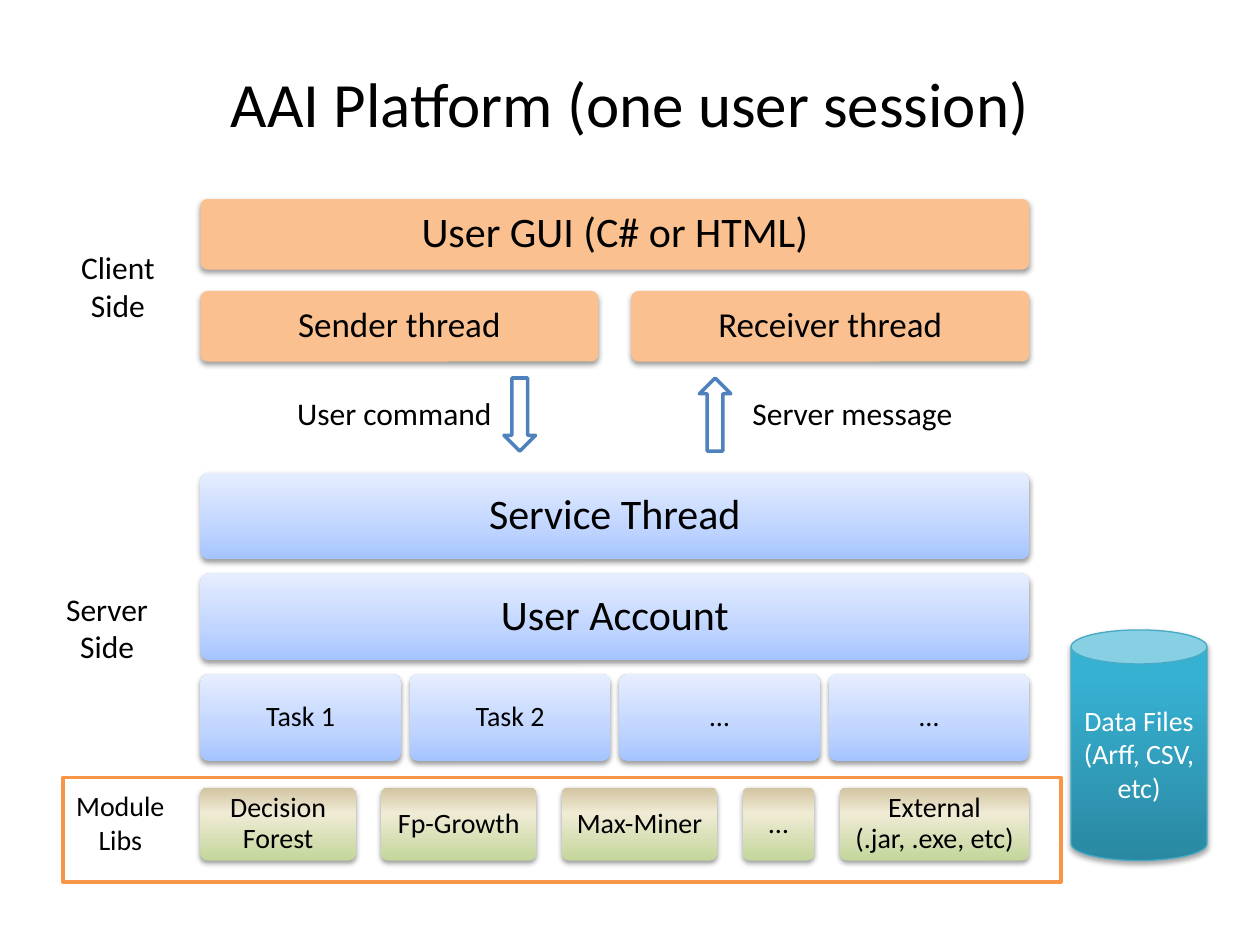
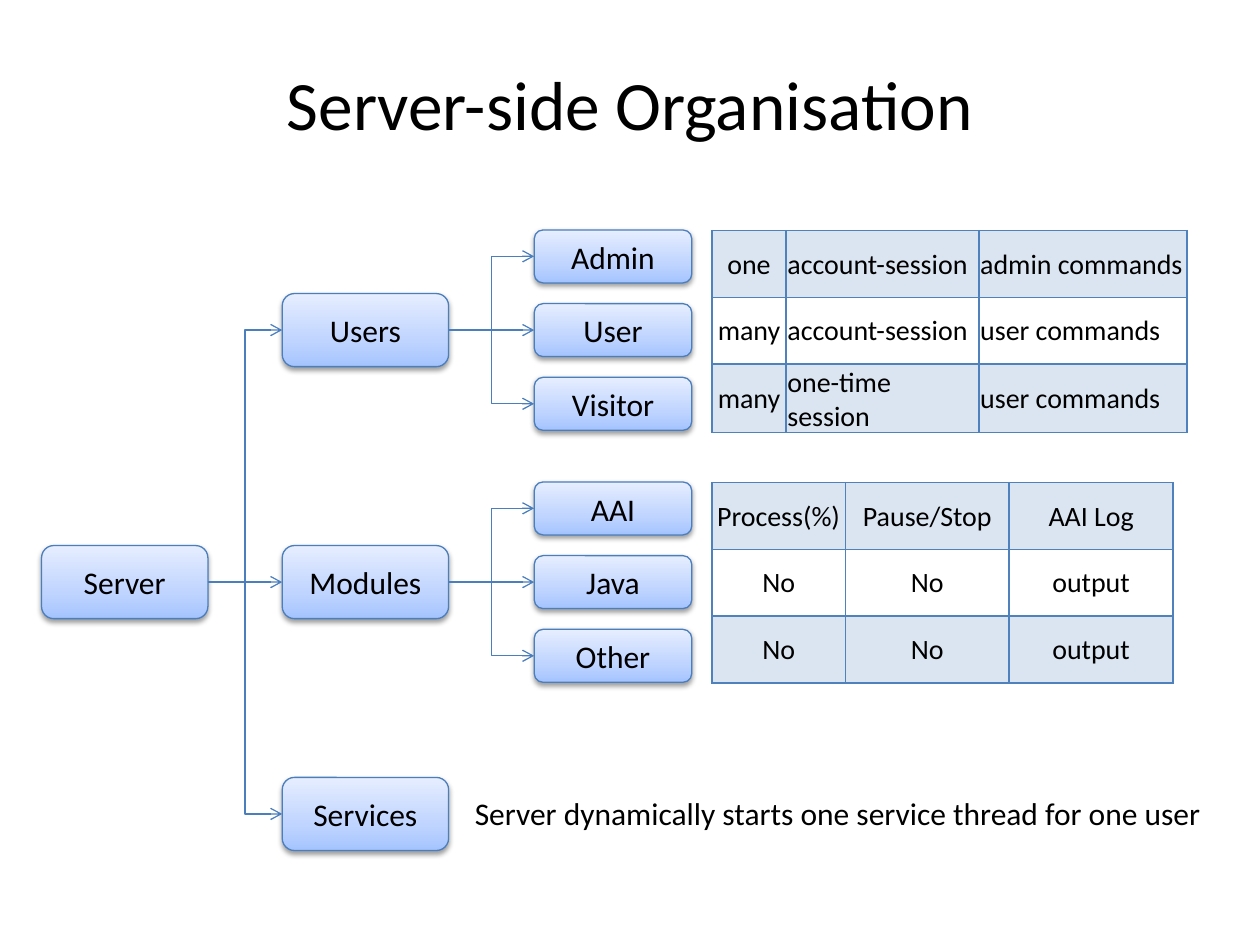
"""Build two slides on a platform's session layers and its server organisation."""
from dataclasses import dataclass
from typing import NamedTuple, Optional

import lxml.etree
import pptx
import pptx.dml.color
import pptx.enum.shapes
import pptx.enum.text
import pptx.oxml.ns
import pptx.util

Inches = pptx.util.Inches
Pt = pptx.util.Pt
Shapes = pptx.enum.shapes.MSO_SHAPE
Connectors = pptx.enum.shapes.MSO_CONNECTOR
Align = pptx.enum.text.PP_ALIGN
Anchor = pptx.enum.text.MSO_ANCHOR
qn = pptx.oxml.ns.qn

FONT = "Calibri"
BLACK, WHITE = "000000", "FFFFFF"
ACCENT, OUTLINE, ORANGE = "4F81BD", "4B7EBC", "F79646"
BLUE_STOPS = ((0, "A4C4FF"), (35, "BFD4FF"), (100, "E6EEFF"))
OLIVE_STOPS = ((0, "C3D69B"), (65, "F0EBD5"), (100, "D1C39F"))
TEAL_STOPS = ((0, "2A88A2"), (80, "37B1D2"), (100, "34B4D6"))

STACK_LEFT, STACK_WIDTH = 1.59, 6.58
BRANCH_STEP = 0.585
LEAF_LEFT = 4.24
TABLE_LEFT, TABLE_ROW = 5.65, 0.53


class Box(NamedTuple):
    """A place on the slide, in inches."""
    left: float
    top: float
    width: float
    height: float


@dataclass(frozen=True)
class Style:
    """Fill, outline and shadow of a shape."""
    fill: Optional[str] = None
    stops: tuple = ()
    line: Optional[str] = None
    line_width: float = 0.75
    shadow_alpha: int = 0
    shadow_distance: float = 1.6


@dataclass(frozen=True)
class TextStyle:
    """Size, colour and placing of a text."""
    size: float = 18
    color: str = BLACK
    align: Align = Align.CENTER
    anchor: Anchor = Anchor.MIDDLE
    wrap: bool = True
    inset: Optional[float] = None
    spacing: Optional[float] = None


@dataclass(frozen=True)
class Row:
    """A row of boxes across the stack, with widths in proportion."""
    top: float
    height: float
    size: float
    style: Style
    labels: tuple
    gap: float = 0
    shares: tuple = ()


@dataclass(frozen=True)
class Branch:
    """A node of the server tree with its leaves."""
    label: str
    centre: float
    leaves: tuple = ()


@dataclass(frozen=True)
class Grid:
    """A small table beside a group of leaves."""
    top: float
    widths: tuple
    rows: tuple
    centred_columns: tuple


CLIENT = Style(fill="FAC090", shadow_alpha=38)
SERVER = Style(stops=BLUE_STOPS, shadow_alpha=38)
MODULE = Style(stops=OLIVE_STOPS, shadow_alpha=38)
NODE = Style(stops=BLUE_STOPS, line=OUTLINE, shadow_alpha=38)
STORE = Style(stops=TEAL_STOPS, line="46AAC5", shadow_alpha=35, shadow_distance=1.8)
ARROW = Style(fill=WHITE, line=ACCENT, line_width=2)
FRAME = Style(line=ORANGE, line_width=2)

ROWS = (
    Row(1.58, 0.56, 24, CLIENT, ("User GUI (C# or HTML)",)),
    Row(2.31, 0.56, 20, CLIENT, ("Sender thread", "Receiver thread"), 0.26),
    Row(3.75, 0.69, 24, SERVER, ("Service Thread",)),
    Row(4.55, 0.69, 24, SERVER, ("User Account",)),
    Row(5.35, 0.69, 16, SERVER, ("Task 1", "Task 2", "…", "…"), 0.07),
    Row(6.25, 0.58, 16, MODULE,
        ("Decision Forest", "Fp-Growth", "Max-Miner", "…", "External (.jar, .exe, etc)"),
        0.2, (1.23, 1.23, 1.23, 0.57, 1.5)),
)
LABELS = (
    (Box(0.54, 1.92, 0.79, 0.71), ("Client", "Side"), 18),
    (Box(0.42, 4.63, 0.86, 0.71), ("Server", "Side"), 18),
    (Box(0.5, 6.21, 0.91, 0.64), ("Module", "Libs"), 16),
    (Box(2.25, 3.08, 1.76, 0.4), ("User command",), 18),
    (Box(5.86, 3.08, 1.81, 0.4), ("Server message",), 18),
)
BRANCHES = (
    Branch("Users", 2.62, ("Admin", "User", "Visitor")),
    Branch("Modules", 4.62, ("AAI", "Java", "Other")),
    Branch("Services", 6.46),
)
GRIDS = (
    Grid(1.83, (0.59, 1.53, 1.65), (
        ("one", "account-session", "admin commands"),
        ("many", "account-session", "user commands"),
        ("many", "one-time session", "user commands")), (0,)),
    Grid(3.83, (1.06, 1.3, 1.3), (
        ("Process(%)", "Pause/Stop", "AAI Log"),
        ("No", "No", "output"),
        ("No", "No", "output")), (0, 1, 2)),
)


def rgb(value: str) -> pptx.dml.color.RGBColor:
    """Turn a hex string into a colour."""
    return pptx.dml.color.RGBColor.from_string(value)


def add_xml_color(parent, value: str, alpha: Optional[int] = None) -> None:
    """Append an sRGB colour element, with an opacity in percent if given."""
    color = lxml.etree.SubElement(parent, qn("a:srgbClr"), val=value)
    if alpha is not None:
        lxml.etree.SubElement(color, qn("a:alpha"), val=str(alpha * 1000))


def write_text(frame, lines: tuple, style: TextStyle) -> None:
    """Write one paragraph for each line."""
    frame.word_wrap = style.wrap
    frame.vertical_anchor = style.anchor
    if style.inset is not None:
        frame.margin_left = frame.margin_right = Inches(style.inset)
        frame.margin_top = frame.margin_bottom = Inches(style.inset)
    for index, line in enumerate(lines):
        paragraph = frame.add_paragraph() if index else frame.paragraphs[0]
        paragraph.alignment = style.align
        if style.spacing:
            paragraph.line_spacing = style.spacing
        run = paragraph.add_run()
        run.text = line
        run.font.name = FONT
        run.font.size = Pt(style.size)
        run.font.color.rgb = rgb(style.color)


def add_text(slide, box: Box, lines: tuple, style: TextStyle) -> None:
    """Add a text box."""
    shape = slide.shapes.add_textbox(*map(Inches, box))
    write_text(shape.text_frame, lines, style)


def paint(shape, style: Style) -> None:
    """Apply fill, outline and shadow."""
    if style.stops:
        shape.fill.gradient()
        shape.fill.gradient_angle = 90
        stop_list = shape._element.spPr.find(".//" + qn("a:gsLst"))
        for stop in list(stop_list):
            stop_list.remove(stop)
        for position, color in style.stops:
            stop = lxml.etree.SubElement(stop_list, qn("a:gs"), pos=str(position * 1000))
            add_xml_color(stop, color)
    elif style.fill:
        shape.fill.solid()
        shape.fill.fore_color.rgb = rgb(style.fill)
    else:
        shape.fill.background()
    if style.line:
        shape.line.color.rgb = rgb(style.line)
        shape.line.width = Pt(style.line_width)
    else:
        shape.line.fill.background()
    shape.shadow.inherit = False
    if style.shadow_alpha:
        effects = shape._element.spPr.find(qn("a:effectLst"))
        shadow = lxml.etree.SubElement(
            effects, qn("a:outerShdw"), blurRad=str(Pt(3.1)),
            dist=str(Pt(style.shadow_distance)), dir="5400000", rotWithShape="0")
        add_xml_color(shadow, BLACK, style.shadow_alpha)


def add_shape(slide, kind: Shapes, box: Box, style: Style, lines: tuple = (),
              text_style: TextStyle = TextStyle()):
    """Add a painted preset shape with optional text."""
    shape = slide.shapes.add_shape(kind, *map(Inches, box))
    paint(shape, style)
    if lines:
        write_text(shape.text_frame, lines, text_style)
    return shape


def add_titled_slide(presentation, title: str, box: Box, size: float):
    """Add a blank slide with a centred title."""
    slide = presentation.slides.add_slide(presentation.slide_layouts[6])
    add_text(slide, box, (title,), TextStyle(size=size))
    return slide


def add_row(slide, row: Row) -> None:
    """Share the stack width out among the boxes of a row."""
    shares = row.shares or (1,) * len(row.labels)
    scale = (STACK_WIDTH - row.gap * (len(shares) - 1)) / sum(shares)
    text_style = TextStyle(size=row.size, inset=row.size / 240, spacing=0.9)
    left = STACK_LEFT
    for label, share in zip(row.labels, shares):
        box = Box(left, row.top, share * scale, row.height)
        shape = add_shape(slide, Shapes.ROUNDED_RECTANGLE, box, row.style, (label,), text_style)
        shape.adjustments[0] = 0.1
        left += share * scale + row.gap


def add_node(slide, label: str, left: float, centre: float, width: float, height: float):
    """Add a tree node centred on a height."""
    box = Box(left, centre - height / 2, width, height)
    return add_shape(slide, Shapes.ROUNDED_RECTANGLE, box, NODE, (label,))


def connect(slide, parent, child) -> None:
    """Draw an arrow from a parent's right side to a child's left side."""
    offset = (child.top + child.height / 2) - (parent.top + parent.height / 2)
    level = abs(offset) < Inches(0.02)
    kind = Connectors.STRAIGHT if level else Connectors.ELBOW
    connector = slide.shapes.add_connector(kind, 0, 0, 0, 0)
    connector.begin_connect(parent, 3)
    connector.end_connect(child, 1)
    connector.line.color.rgb = rgb(OUTLINE)
    connector.line.width = Pt(0.75)
    properties = connector._element.spPr
    lxml.etree.SubElement(properties.find(qn("a:ln")), qn("a:tailEnd"), type="arrow")
    lxml.etree.SubElement(properties, qn("a:effectLst"))


def style_cell(cell, shaded: bool) -> None:
    """Set margins, tint and borders of a table cell."""
    cell.margin_left = cell.margin_right = cell.margin_top = Inches(0.01)
    cell.margin_bottom = 0
    cell.vertical_anchor = Anchor.MIDDLE
    properties = cell._tc.get_or_add_tcPr()
    for side in ("a:lnL", "a:lnR", "a:lnT", "a:lnB"):
        border = lxml.etree.SubElement(properties, qn(side), w=str(Pt(1)))
        add_xml_color(lxml.etree.SubElement(border, qn("a:solidFill")), ACCENT)
    if shaded:
        add_xml_color(lxml.etree.SubElement(properties, qn("a:solidFill")), ACCENT, 20)
    else:
        lxml.etree.SubElement(properties, qn("a:noFill"))


def add_grid(slide, grid: Grid) -> None:
    """Add a bordered table with every other row tinted."""
    box = Box(TABLE_LEFT, grid.top, sum(grid.widths), TABLE_ROW * len(grid.rows))
    frame = slide.shapes.add_table(len(grid.rows), len(grid.widths), *map(Inches, box))
    table = frame.table
    table.first_row = table.horz_banding = False
    for column, width in zip(table.columns, grid.widths):
        column.width = Inches(width)
    for row_index, texts in enumerate(grid.rows):
        table.rows[row_index].height = Inches(TABLE_ROW)
        for column_index, text in enumerate(texts):
            cell = table.cell(row_index, column_index)
            align = Align.CENTER if column_index in grid.centred_columns else Align.LEFT
            write_text(cell.text_frame, (text,), TextStyle(size=16, align=align))
            style_cell(cell, row_index % 2 == 0)


def build_platform(presentation) -> None:
    """Draw the layers of one user session."""
    slide = add_titled_slide(
        presentation, "AAI Platform (one user session)", Box(0.5, 0.3, 9, 1.03), 36)
    for row in ROWS:
        add_row(slide, row)
    for box, lines, size in LABELS:
        add_text(slide, box, lines, TextStyle(size=size, anchor=Anchor.TOP, wrap=False))
    for kind, left in ((Shapes.DOWN_ARROW, 4), (Shapes.UP_ARROW, 5.55)):
        add_shape(slide, kind, Box(left, 3, 0.25, 0.58), ARROW)
    add_shape(slide, Shapes.CAN, Box(8.5, 5, 1.08, 1.83), STORE,
              ("Data Files", "(Arff, CSV, etc)"), TextStyle(size=16, color=WHITE))
    add_shape(slide, Shapes.RECTANGLE, Box(0.5, 6.17, 7.92, 0.83), FRAME)


def build_organisation(presentation) -> None:
    """Draw the server tree and its tables."""
    slide = add_titled_slide(
        presentation, "Server-side Organisation", Box(0.5, 0.55, 9, 0.53), 39.6)
    server = add_node(slide, "Server", 0.33, 4.62, 1.32, 0.58)
    for branch in BRANCHES:
        node = add_node(slide, branch.label, 2.24, branch.centre, 1.32, 0.58)
        connect(slide, server, node)
        for index, label in enumerate(branch.leaves):
            centre = branch.centre + (index - 1) * BRANCH_STEP
            connect(slide, node, add_node(slide, label, LEAF_LEFT, centre, 1.25, 0.42))
    for grid in GRIDS:
        add_grid(slide, grid)
    add_text(slide, Box(3.67, 6.25, 5.97, 0.4),
             ("Server dynamically starts one service thread for one user",),
             TextStyle(align=Align.LEFT, anchor=Anchor.TOP, wrap=False))


presentation = pptx.Presentation()
presentation.slide_width, presentation.slide_height = Inches(10), Inches(7.5)
build_platform(presentation)
build_organisation(presentation)
presentation.save("out.pptx")
